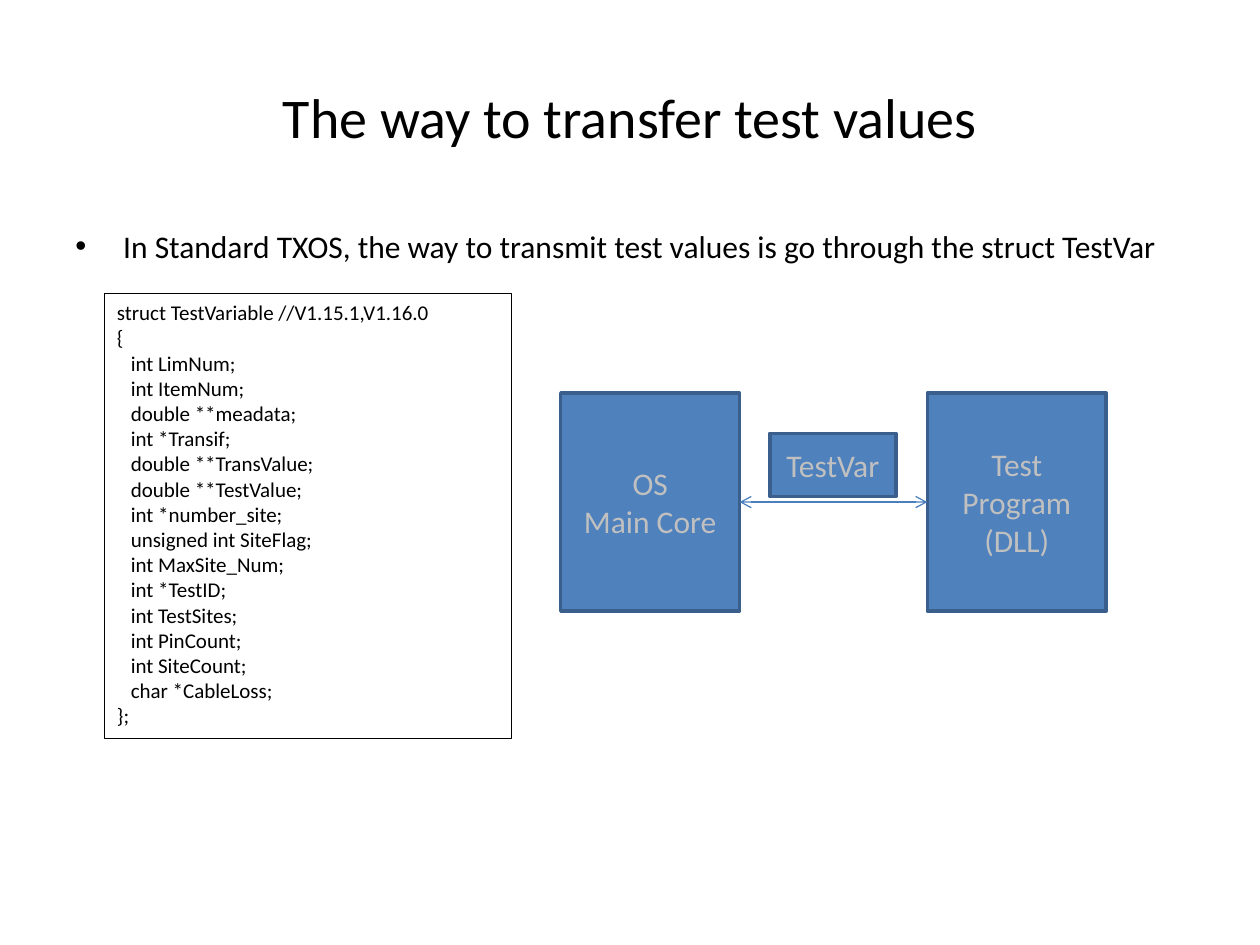
from lxml.etree import SubElement
from pptx import Presentation
from pptx.dml.color import RGBColor
from pptx.enum.shapes import MSO_CONNECTOR as Connector, MSO_SHAPE as Shape
from pptx.enum.text import MSO_ANCHOR as Anchor, PP_ALIGN as Align
from pptx.oxml.ns import qn
from pptx.util import Inches, Pt

FONT = "Calibri"
BLACK, WHITE, SILVER = "000000", "FFFFFF", "C0C0C0"
BLUE, BLUE_EDGE, ARROW_BLUE = "4F81BD", "3A5F8C", "4B7EBC"

FIELDS = [
    "int LimNum;", "int ItemNum;", "double **meadata;", "int *Transif;",
    "double **TransValue;", "double **TestValue;", "int *number_site;",
    "unsigned int SiteFlag;", "int MaxSite_Num;", "int *TestID;",
    "int TestSites;", "int PinCount;", "int SiteCount;", "char *CableLoss;",
]


def color(hex_value):
    return RGBColor.from_string(hex_value)


def write(shape, lines, size, ink=BLACK, align=Align.LEFT, anchor=Anchor.TOP):
    frame = shape.text_frame
    frame.word_wrap = True
    frame.vertical_anchor = anchor
    for index, line in enumerate(lines):
        para = frame.paragraphs[0] if index == 0 else frame.add_paragraph()
        para.alignment = align
        span = para.add_run()
        span.text = line
        span.font.name = FONT
        span.font.size = Pt(size)
        span.font.color.rgb = color(ink)
    return frame.paragraphs


def add_text(page, box, lines, size, **style):
    shape = page.shapes.add_textbox(*map(Inches, box))
    return write(shape, lines, size, **style)


def add_box(page, box, edge, width, fill=None):
    shape = page.shapes.add_shape(Shape.RECTANGLE, *map(Inches, box))
    shape.shadow.inherit = False
    if fill:
        shape.fill.solid()
        shape.fill.fore_color.rgb = color(fill)
    else:
        shape.fill.background()
    shape.line.color.rgb = color(edge)
    shape.line.width = Pt(width)
    return shape


def add_bullet(page, box, text):
    para = add_text(page, box, [text], 18)[0]
    para.space_before = Pt(3.6)
    props = para._p.get_or_add_pPr()
    props.set("marL", str(Inches(0.38)))
    props.set("indent", str(-Inches(0.38)))
    SubElement(props, qn("a:buFont"), typeface="Arial")
    SubElement(props, qn("a:buChar"), char="\u2022")


def add_code(page, box):
    lines = ["struct TestVariable //V1.15.1,V1.16.0", "{", *FIELDS, "};"]
    paras = write(add_box(page, box, BLACK, 0.75), lines, 12)
    for para in paras[2:-1]:
        para._p.get_or_add_pPr().set("marL", str(Inches(0.11)))


def add_block(page, box, lines):
    shape = add_box(page, box, BLUE_EDGE, 2, BLUE)
    write(shape, lines, 18, SILVER, Align.CENTER, Anchor.MIDDLE)


def add_double_arrow(page, left, right, y):
    arrow = page.shapes.add_connector(
        Connector.STRAIGHT, Inches(left), Inches(y), Inches(right), Inches(y))
    arrow.line.color.rgb = color(ARROW_BLUE)
    arrow.line.width = Pt(0.75)
    line = arrow.line._get_or_add_ln()
    for end in ("a:headEnd", "a:tailEnd"):
        SubElement(line, qn(end), type="arrow")
    SubElement(arrow._element.spPr, qn("a:effectLst"))


def add_diagram(page, box):
    left, top, width, height = box
    block_width = 1.42
    right_block = left + width - block_width
    add_block(page, (left, top, block_width, height), ["OS", "Main Core"])
    add_block(page, (right_block, top, block_width, height),
              ["Test Program (DLL)"])
    add_double_arrow(page, left + block_width, right_block,
                     top + height / 2)
    # Data label above the arrow
    add_block(page, (left + 1.66, top + 0.32, 1, 0.5), ["TestVar"])


deck = Presentation()
deck.slide_width, deck.slide_height = Inches(10), Inches(7.5)
page = deck.slides.add_slide(deck.slide_layouts[6])
page.background.fill.solid()
page.background.fill.fore_color.rgb = color(WHITE)

# Title and statement
add_text(page, (0.5, 0.3, 9, 1.25), ["The way to transfer test values"], 32,
         align=Align.CENTER, anchor=Anchor.MIDDLE)
add_bullet(page, (0.5, 1.75, 9, 4.95),
           "In Standard TXOS, the way to transmit test values is go through "
           "the struct TestVar")

# Struct listing and data flow
add_code(page, (0.83, 2.33, 3.23, 3.53))
add_diagram(page, (4.45, 3.12, 4.33, 1.73))

deck.save("out.pptx")
